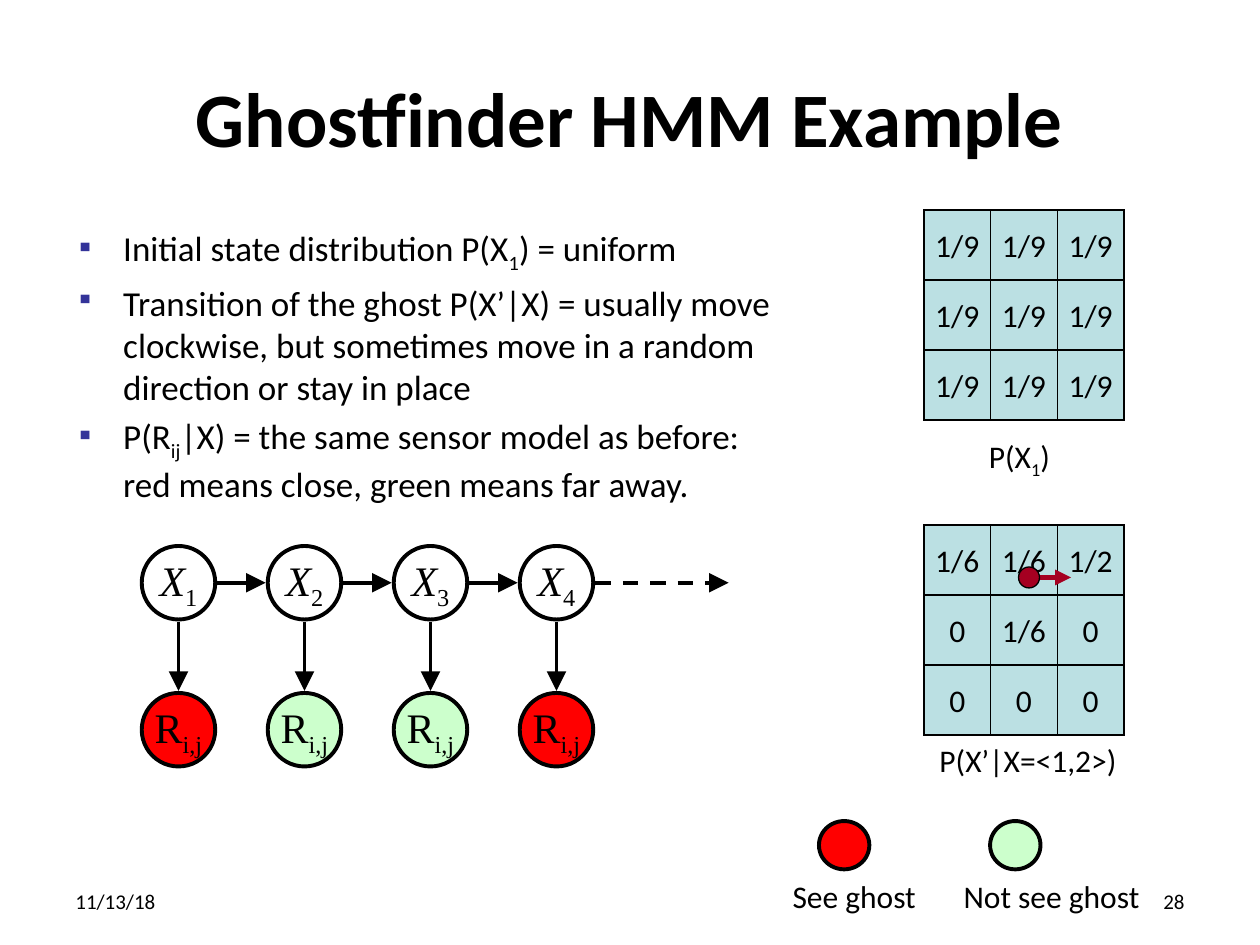
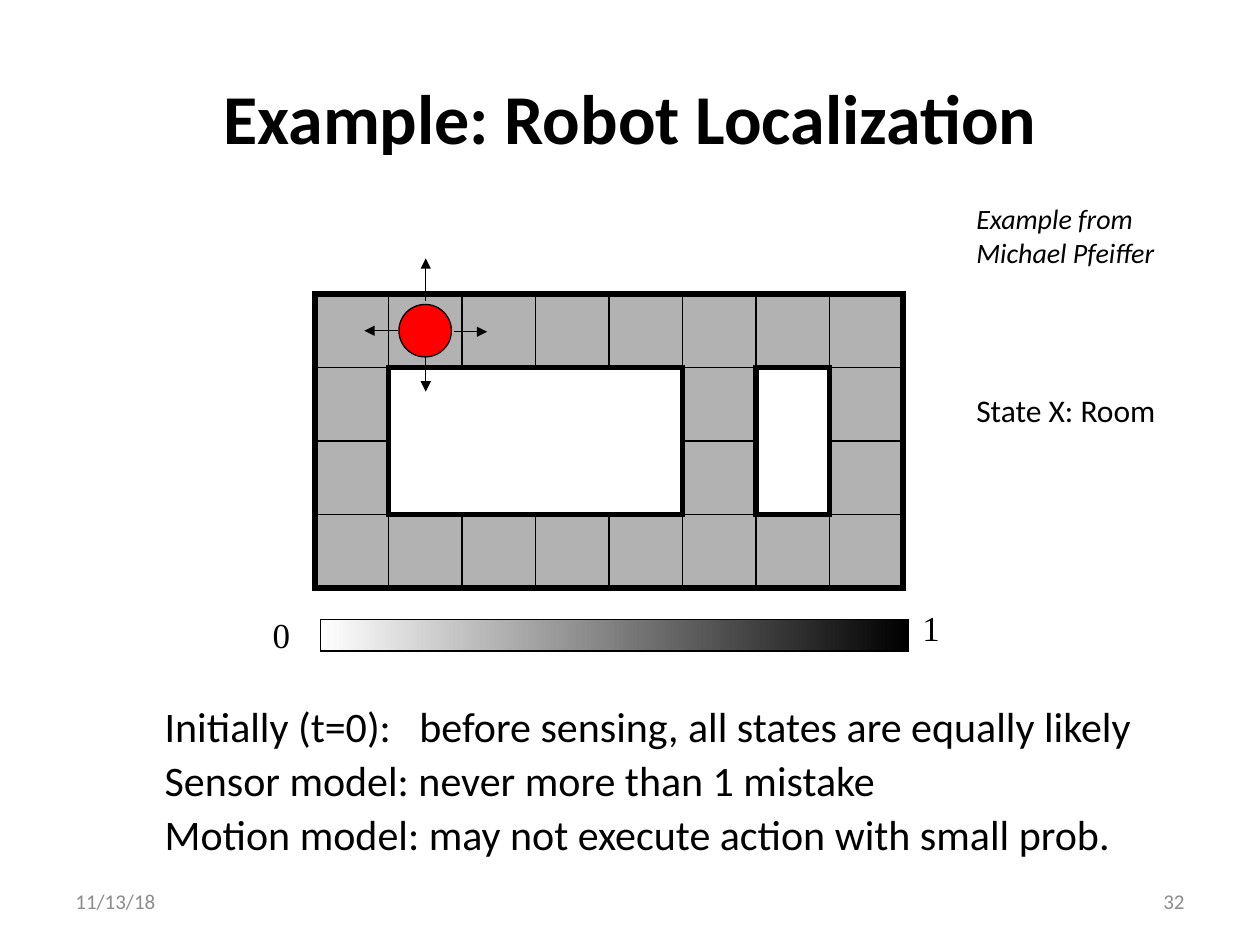
from dataclasses import dataclass
from itertools import product

from lxml.etree import SubElement
from pptx import Presentation
from pptx.dml.color import RGBColor
from pptx.enum.dml import MSO_LINE_DASH_STYLE as Dash
from pptx.enum.shapes import MSO_CONNECTOR as Connector, MSO_SHAPE as Shape
from pptx.enum.text import MSO_ANCHOR as Anchor, PP_ALIGN as Align
from pptx.oxml.ns import qn
from pptx.util import Inches, Pt


@dataclass(frozen=True)
class Theme:
    black: str = "000000"
    white: str = "FFFFFF"
    muted: str = "8C8C8C"
    cell: str = "BBE0E3"
    room: str = "B2B2B2"
    red: str = "FF0000"
    green: str = "CCFFCC"
    move: str = "A50021"
    bullet: str = "333399"
    sans: str = "Calibri"
    serif: str = "Times New Roman"
    footer: int = 12
    credit: int = 16
    label: int = 18
    list: int = 20
    node: int = 24
    thin: float = 0.75
    medium: float = 2.25
    thick: float = 3


theme = Theme()
deck = Presentation()
deck.slide_width, deck.slide_height = Inches(10), Inches(7.5)
COLUMN, ROW = deck.slide_width / 120, deck.slide_height / 90
INDENT = Inches(0.38)


def add_box(shapes, at, kind=None, fill=None, weight=theme.thin, texts=(), align=Align.LEFT,
            anchor=Anchor.MIDDLE, wrap=False, color=theme.black, bullet=None, hanging=False,
            spacing=None, **font):
    left, top, width, height = at
    place = [int(left * COLUMN), int(top * ROW), int(width * COLUMN), int(height * ROW)]
    if kind is None:
        box = shapes.add_textbox(*place)
    else:
        box = shapes.add_shape(kind, *place)
        box.shadow.inherit = False
        box.line.color.rgb = RGBColor.from_string(theme.black)
        box.line.width = Pt(weight)
        SubElement(box.line._get_or_add_ln(), qn("a:miter"), lim="800000")
        if fill:
            box.fill.solid()
            box.fill.fore_color.rgb = RGBColor.from_string(fill)
        else:
            box.fill.background()
    frame = box.text_frame
    frame.word_wrap, frame.vertical_anchor = wrap, anchor
    font = {"name": theme.sans, "size": theme.label} | font
    for number, text in enumerate(texts):
        para = frame.paragraphs[0] if number == 0 else frame.add_paragraph()
        para.alignment = align
        if spacing:
            para.line_spacing = spacing
        if number:
            para.space_before = Pt(font["size"] * 0.2)
        properties = para._p.get_or_add_pPr()
        if hanging:
            properties.set("marL", str(INDENT))
            properties.set("indent", str(-INDENT))
        if bullet:
            SubElement(SubElement(properties, qn("a:buClr")), qn("a:srgbClr"), val=theme.bullet)
            SubElement(properties, qn("a:buSzPct"), val="75000")
            SubElement(properties, qn("a:buChar"), char=bullet)
        for line_number, line in enumerate(text.split("\n")):
            if line_number:
                para.add_line_break()
            for part_number, part in enumerate(line.split("_")):
                if not part:
                    continue
                span = para.add_run()
                span.text = part
                span.font.color.rgb = RGBColor.from_string(color)
                for name, value in font.items():
                    setattr(span.font, name, Pt(value) if name == "size" else value)
                if part_number % 2:
                    span.font.italic = False
                    span._r.get_or_add_rPr().set("baseline", "-25000")
    return box


def add_arrow(page, start, end, weight=theme.medium, color=theme.black, dash=None, head="med"):
    points = [int(value * unit) for point in (start, end) for value, unit in zip(point, (COLUMN, ROW))]
    arrow = page.shapes.add_connector(Connector.STRAIGHT, *points)
    arrow.line.color.rgb = RGBColor.from_string(color)
    arrow.line.width = Pt(weight)
    if dash:
        arrow.line.dash_style = dash
    SubElement(arrow.line._get_or_add_ln(), qn("a:tailEnd"), type="triangle", w=head, len=head)
    SubElement(arrow._element.spPr, qn("a:effectLst"))


pages = []
for heading, size, number, footer_color in [
    ("Ghostfinder HMM Example", 44, "28", theme.black),
    ("Example: Robot Localization", 40, "32", theme.muted),
]:
    page = deck.slides.add_slide(deck.slide_layouts[5])
    title = page.shapes.title
    title.left, title.top = int(6 * COLUMN), int(3.6 * ROW)
    title.width, title.height = int(108 * COLUMN), int(15 * ROW)
    title.text_frame.text = heading
    title.text_frame.vertical_anchor = Anchor.MIDDLE
    title.text_frame.paragraphs[0].alignment = Align.CENTER
    span = title.text_frame.paragraphs[0].runs[0]
    span.font.color.rgb = RGBColor.from_string(theme.black)
    for name, value in {"name": theme.sans, "size": Pt(size), "bold": True}.items():
        setattr(span.font, name, value)
    for left, text, align in [(6, "11/13/18", Align.LEFT), (86, number, Align.RIGHT)]:
        add_box(page.shapes, (left, 83.4, 28, 4.8), texts=[text], align=align, wrap=True,
                color=footer_color, size=theme.footer)
    pages.append(page)
ghost, robot = pages

add_box(ghost.shapes, (6, 21, 79, 59.4), texts=[
    "Initial state distribution P(X_1_) = uniform",
    "Transition of the ghost P(X’|X) = usually move clockwise, but sometimes move in a random direction or stay in place",
    "P(R_ij_|X) = the same sensor model as before:\nred means close, green means far away.",
], anchor=Anchor.TOP, wrap=True, bullet="▪", hanging=True, size=theme.list)

CELL_WIDTH, CELL_HEIGHT = 6.35, 6.67
for top, values in [
    (20, ["1/9"] * 9),
    (50, ["1/6", "1/6", "1/2", "0", "1/6", "0", "0", "0", "0"]),
]:
    group = ghost.shapes.add_group_shape()
    for (row, column), value in zip(product(range(3), repeat=2), values):
        add_box(group.shapes,
                (88 + column * CELL_WIDTH, top + row * CELL_HEIGHT, CELL_WIDTH, CELL_HEIGHT),
                Shape.RECTANGLE, theme.cell, texts=[value], align=Align.CENTER)

for at, caption in [((93, 41, 8.4, 4.8), "P(X_1_)"), ((88.3, 70, 19.4, 4.8), "P(X’|X=<1,2>)")]:
    add_box(ghost.shapes, at, texts=[caption], anchor=Anchor.TOP)

NODE, STEP, STATE_TOP, SENSOR_TOP = 7, 12, 52, 66
for index, reading in enumerate([theme.red, theme.green, theme.green, theme.red]):
    left = 13.5 + index * STEP
    middle, level = left + NODE / 2, STATE_TOP + NODE / 2
    for top, fill, text, italic in [
        (STATE_TOP, theme.white, f"X_{index + 1}_", True),
        (SENSOR_TOP, reading, "R_i,j_", False),
    ]:
        add_box(ghost.shapes, (left, top, NODE, NODE), Shape.OVAL, fill, theme.medium, [text],
                Align.CENTER, name=theme.serif, size=theme.node, italic=italic)
    add_arrow(ghost, (middle, STATE_TOP + NODE + 0.2), (middle, SENSOR_TOP - 0.2), head="lg")
    last = index == 3
    add_arrow(ghost, (left + NODE + 0.2, level), (69.4 if last else left + STEP - 0.2, level),
              dash=Dash.DASH if last else None, head="lg")

add_arrow(ghost, (98, 55), (102, 55), theme.thick, theme.move)
add_box(ghost.shapes, (97, 54, 2, 2), Shape.OVAL, theme.move)

for left, fill, text, width in [
    (78, theme.red, "See ghost", 14.4),
    (94.3, theme.green, "Not see ghost", 19.4),
]:
    add_box(ghost.shapes, (left, 78.2, 4.8, 4.6), Shape.OVAL, fill, theme.medium)
    add_box(ghost.shapes, (left - 3.7, 82.9, width, 4.8), texts=[text], anchor=Anchor.TOP)

add_box(robot.shapes, (14.5, 66.7, 99.2, 16.7), texts=[
    "Initially (t=0):   before sensing, all states are equally likely",
    "Sensor model: never more than 1 mistake",
    "Motion model: may not execute action with small prob.",
], anchor=Anchor.TOP, wrap=True, hanging=True, spacing=0.9, size=theme.node)

ROOM, MAP_LEFT, MAP_TOP = 7, 30, 28
for row, column in product(range(4), range(8)):
    if row in (0, 3) or column in (0, 5, 7):
        add_box(robot.shapes, (MAP_LEFT + column * ROOM, MAP_TOP + row * ROOM, ROOM, ROOM),
                Shape.RECTANGLE, theme.room)
for column, row, columns, rows, fill in [
    (1, 1, 4, 2, theme.white), (0, 0, 8, 4, None), (6, 1, 1, 2, None),
]:
    add_box(robot.shapes,
            (MAP_LEFT + column * ROOM, MAP_TOP + row * ROOM, columns * ROOM, rows * ROOM),
            Shape.RECTANGLE, fill, theme.thick)

scale = add_box(robot.shapes, (30.5, 59, 56, 3), Shape.RECTANGLE)
scale.fill.gradient()
scale.fill.gradient_angle = 0
for stop, color in zip(scale.fill.gradient_stops, (theme.white, theme.black)):
    stop.color.rgb = RGBColor.from_string(color)
for at, text, align in [
    ((86.4, 57.8, 4.3, 4), "1", Align.RIGHT),
    ((24.8, 58.4, 6, 4), "0", Align.LEFT),
]:
    add_box(robot.shapes, at, texts=[text], align=align, name=theme.serif, size=theme.list)

add_box(robot.shapes, (38, 29, 5, 5), Shape.OVAL, theme.red)
for start, end in [
    ((40.55, 28.7), (40.55, 24.6)),
    ((40.55, 34), (40.55, 37.3)),
    ((37.9, 31.5), (34.7, 31.5)),
    ((43.2, 31.6), (46.4, 31.6)),
]:
    add_arrow(robot, start, end, theme.thin)

add_box(robot.shapes, (91.8, 18.6, 22, 7.7), texts=["Example from Michael Pfeiffer"],
        anchor=Anchor.TOP, wrap=True, size=theme.credit, italic=True)
add_box(robot.shapes, (91.8, 36.7, 19.8, 4.8), texts=["State X: Room"], anchor=Anchor.TOP)

deck.save("out.pptx")
